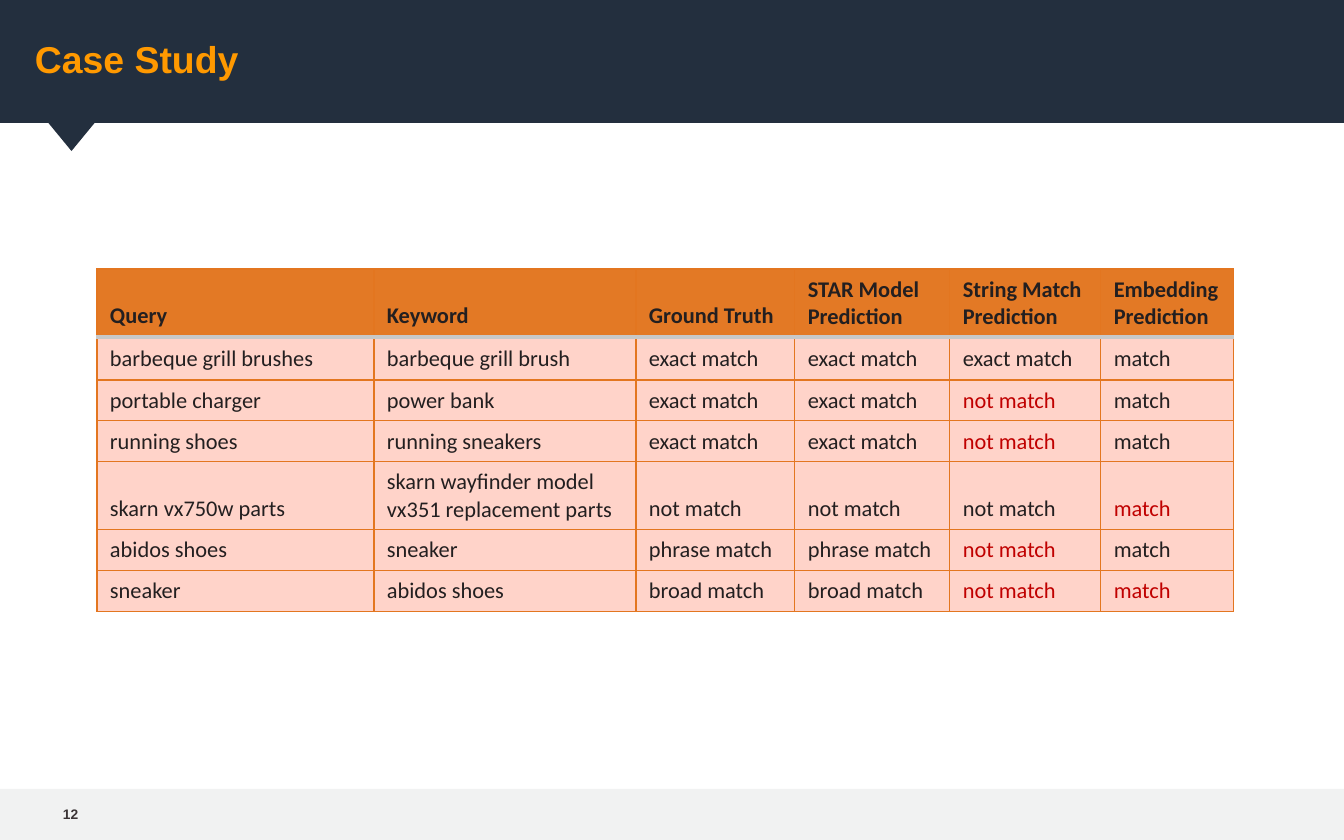
from dataclasses import dataclass

from lxml.etree import SubElement
from pptx import Presentation
from pptx.dml.color import RGBColor
from pptx.enum.shapes import MSO_SHAPE as Shape
from pptx.enum.text import MSO_ANCHOR as Anchor
from pptx.oxml.ns import qn
from pptx.util import Emu, Pt

NAVY = RGBColor(0x23, 0x2F, 0x3E)
MIST = RGBColor(0xF1, 0xF2, 0xF2)
AMBER = RGBColor(0xFF, 0x99, 0x00)
CHARCOAL = RGBColor(0x3B, 0x34, 0x36)
INK = RGBColor(0x23, 0x1F, 0x20)
RED = RGBColor(0xC0, 0x00, 0x00)
HEADER_FILL = RGBColor(0xE3, 0x79, 0x25)
BODY_FILL = RGBColor(0xFF, 0xD3, 0xC9)
GRID = RGBColor(0xE3, 0x76, 0x20)
HEADER_RULE = RGBColor(0xC8, 0xC8, 0xC8)


def px(length: int) -> Emu:
    return Emu(round(length * 914400 / 134.4))


@dataclass(frozen=True)
class Box:
    left: int
    top: int
    width: int
    height: int

    def emu(self) -> tuple[Emu, ...]:
        return tuple(px(n) for n in (self.left, self.top, self.width, self.height))


@dataclass(frozen=True)
class Panel:
    box: Box
    preset: Shape
    color: RGBColor
    rotation: int = 0


@dataclass(frozen=True)
class Case:
    texts: tuple[str, ...]
    height: int = 40
    wrong: tuple[int, ...] = ()


STRING, EMBEDDING = 4, 5
COLUMN_WIDTHS = (277, 262, 159, 155, 151, 133)
TABLE_BOX = Box(97, 269, sum(COLUMN_WIDTHS), 339)
PANELS = (
    Panel(Box(0, 789, 1344, 51), Shape.RECTANGLE, MIST),
    Panel(Box(0, 0, 1344, 123), Shape.RECTANGLE, NAVY),
    Panel(Box(46, 120, 51, 31), Shape.ISOSCELES_TRIANGLE, NAVY, 180),
)
CASES = (
    Case(("Query", "Keyword", "Ground Truth", "STAR Model Prediction",
          "String Match Prediction", "Embedding Prediction"), 68),
    Case(("barbeque grill brushes", "barbeque grill brush", "exact match",
          "exact match", "exact match", "match"), 43),
    Case(("portable charger", "power bank", "exact match", "exact match",
          "not match", "match"), wrong=(STRING,)),
    Case(("running shoes", "running sneakers", "exact match", "exact match",
          "not match", "match"), wrong=(STRING,)),
    Case(("skarn vx750w parts", "skarn wayfinder model vx351 replacement parts",
          "not match", "not match", "not match", "match"), 68, (EMBEDDING,)),
    Case(("abidos shoes", "sneaker", "phrase match", "phrase match",
          "not match", "match"), wrong=(STRING,)),
    Case(("sneaker", "abidos shoes", "broad match", "broad match",
          "not match", "match"), wrong=(STRING, EMBEDDING)),
)


def write(frame, text: str, *, size: float, color: RGBColor,
          font: str = "Arial", bold: bool = True) -> None:
    run = frame.paragraphs[0].add_run()
    run.text = text
    run.font.size = Pt(size)
    run.font.name = font
    run.font.bold = bold
    run.font.color.rgb = color


def draw_panel(slide, panel: Panel) -> None:
    shape = slide.shapes.add_shape(panel.preset, *panel.box.emu())
    shape.shadow.inherit = False
    shape.fill.solid()
    shape.fill.fore_color.rgb = panel.color
    shape.line.fill.background()
    shape.rotation = panel.rotation


def draw_label(slide, box: Box, text: str, *, inset: int, size: float,
               color: RGBColor) -> None:
    frame = slide.shapes.add_textbox(*box.emu()).text_frame
    frame.word_wrap = True
    frame.vertical_anchor = Anchor.MIDDLE
    frame.margin_left, frame.margin_right = px(inset), px(17)
    frame.margin_top = frame.margin_bottom = px(9)
    write(frame, text, size=size, color=color)


def add_border(cell, side: str, color: RGBColor, points: float) -> None:
    properties = cell._tc.get_or_add_tcPr()
    line = SubElement(properties, qn(f"a:ln{side}"), w=str(Pt(points)))
    fill = SubElement(line, qn("a:solidFill"))
    SubElement(fill, qn("a:srgbClr"), val=str(color))


def draw_cell(cell, case: Case, row: int, column: int) -> None:
    is_header = row == 0
    for side in "LRTB":
        under_header = (side == "B" and is_header) or (side == "T" and row == 1)
        color, points = (HEADER_RULE, 2) if under_header else (GRID, 0.75)
        add_border(cell, side, color, points)
    cell.fill.solid()
    cell.fill.fore_color.rgb = HEADER_FILL if is_header else BODY_FILL
    cell.vertical_anchor = Anchor.BOTTOM
    cell.margin_left = cell.margin_right = px(13)
    cell.margin_top = cell.margin_bottom = px(7)
    write(cell.text_frame, case.texts[column], size=12, font="Calibri",
          color=RED if column in case.wrong else INK, bold=is_header)


def draw_cases(slide) -> None:
    table = slide.shapes.add_table(len(CASES), len(COLUMN_WIDTHS),
                                   *TABLE_BOX.emu()).table
    for column, width in zip(table.columns, COLUMN_WIDTHS):
        column.width = px(width)
    for row, case in enumerate(CASES):
        table.rows[row].height = px(case.height)
        for column in range(len(COLUMN_WIDTHS)):
            draw_cell(table.cell(row, column), case, row, column)


def main() -> None:
    deck = Presentation()
    deck.slide_width, deck.slide_height = px(1344), px(840)
    slide = deck.slides.add_slide(deck.slide_layouts[6])
    for panel in PANELS:
        draw_panel(slide, panel)
    draw_label(slide, Box(46, 788, 52, 52), "12", inset=17, size=7.4, color=CHARCOAL)
    draw_label(slide, Box(35, -11, 1210, 140), "Case Study", inset=0, size=20,
               color=AMBER)
    draw_cases(slide)
    deck.save("out.pptx")


if __name__ == "__main__":
    main()
